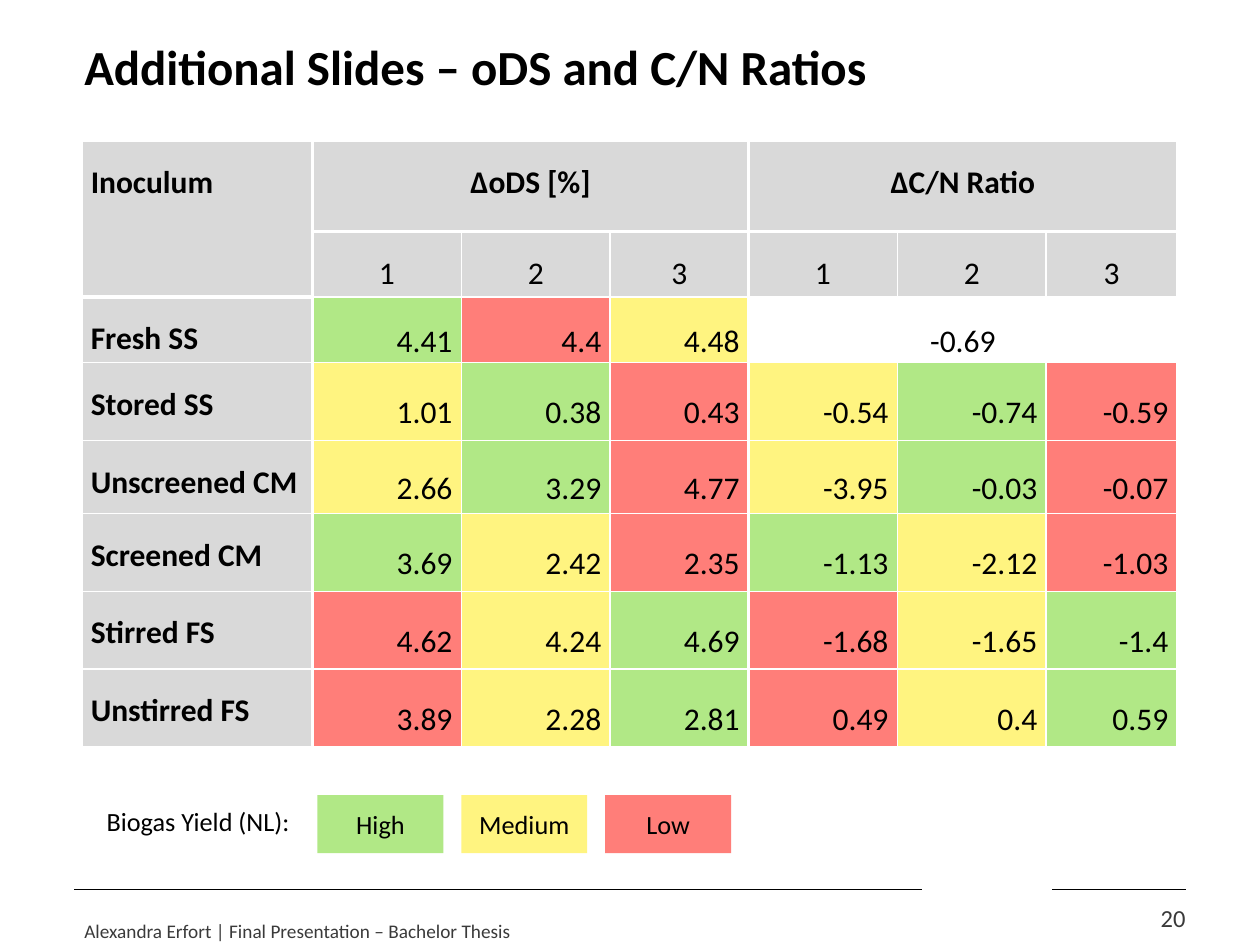
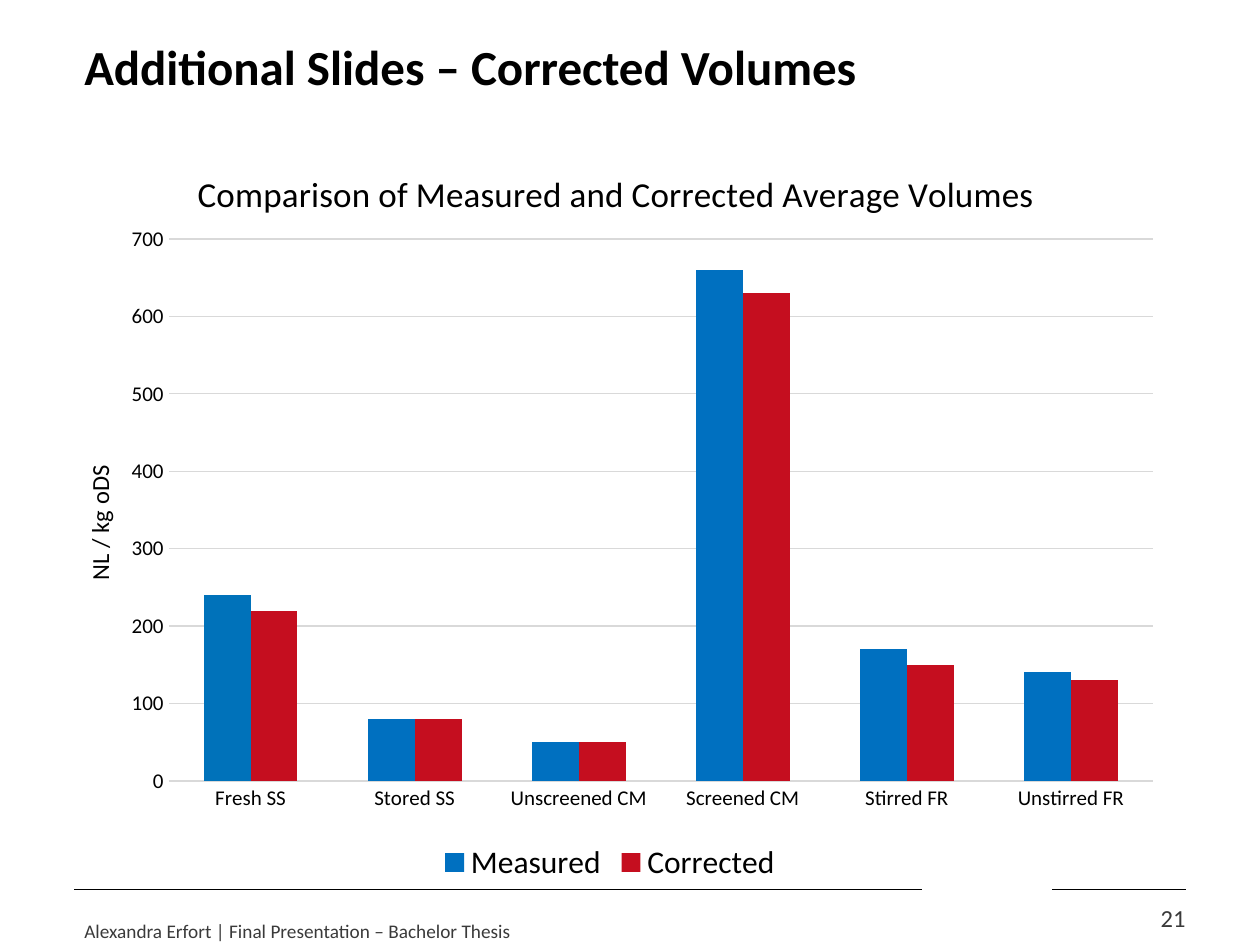
from lxml.etree import SubElement
from pptx import Presentation
from pptx.chart.data import CategoryChartData
from pptx.dml.color import RGBColor
from pptx.enum.chart import XL_CHART_TYPE as ChartType
from pptx.enum.chart import XL_LEGEND_POSITION as LegendPosition
from pptx.enum.chart import XL_TICK_MARK as TickMark
from pptx.enum.shapes import MSO_CONNECTOR as Connector
from pptx.enum.shapes import MSO_SHAPE as Shape
from pptx.enum.text import MSO_ANCHOR as Anchor
from pptx.enum.text import MSO_AUTO_SIZE as AutoSize
from pptx.enum.text import PP_ALIGN as Align
from pptx.oxml.ns import qn
from pptx.util import Cm, Pt

FONT = "Calibri"
BLACK, WHITE, DARK = "000000", "FFFFFF", "3A3A3A"
GREY = "D9D9D9"
YIELDS = {"High": "B1E886", "Medium": "FFF480", "Low": "FF7E79"}
YIELD_KEYS = {"H": "High", "M": "Medium", "L": "Low"}
FOOTER = "Alexandra Erfort |\u00a0Final Presentation – Bachelor Thesis"

COLUMN_WIDTHS = [4.65, 3, 3, 2.79, 3, 3, 2.64]
ROW_HEIGHTS = [1.83, 1.32, 1.32, 1.57, 1.47, 1.57, 1.57, 1.57]
THICK_COLUMN_EDGES = {1, 4}
INOCULA = [
    ("Fresh SS", ["4.41", "4.4", "4.48", "-0.69"], "HLM"),
    ("Stored SS", ["1.01", "0.38", "0.43", "-0.54", "-0.74", "-0.59"], "MHLMHL"),
    ("Unscreened CM", ["2.66", "3.29", "4.77", "-3.95", "-0.03", "-0.07"], "MHLMHL"),
    ("Screened CM", ["3.69", "2.42", "2.35", "-1.13", "-2.12", "-1.03"], "HMLHML"),
    ("Stirred FS", ["4.62", "4.24", "4.69", "-1.68", "-1.65", "-1.4"], "LMHLMH"),
    ("Unstirred FS", ["3.89", "2.28", "2.81", "0.49", "0.4", "0.59"], "LMHLMH"),
]

VOLUME_CATEGORIES = ["Fresh SS", "Stored SS", "Unscreened CM",
                     "Screened CM", "Stirred FR", "Unstirred FR"]
VOLUMES = [
    ("Measured", "0070C0", [240, 80, 50, 660, 170, 140]),
    ("Corrected", "C50E1F", [220, 80, 50, 630, 150, 130]),
]


def rgb(value):
    """Turn a hex string into a colour."""
    return RGBColor.from_string(value)


def fill_with(target, color):
    """Give a shape, cell or format a solid fill."""
    target.fill.solid()
    target.fill.fore_color.rgb = rgb(color)


def style_font(font, size, color=BLACK, bold=False):
    """Set the shared typeface with a size, colour and weight."""
    font.name, font.size, font.bold = FONT, Pt(size), bold
    font.color.rgb = rgb(color)


def write(frame, text, size, color=BLACK, bold=False, align=Align.LEFT):
    """Write one run into the first paragraph of a text frame."""
    paragraph = frame.paragraphs[0]
    paragraph.alignment = align
    run = paragraph.add_run()
    run.text = text
    style_font(run.font, size, color, bold)
    return paragraph


def set_margins(target, left, top, right, bottom):
    """Set the inner margins of a text frame or cell in centimetres."""
    target.margin_left, target.margin_top = Cm(left), Cm(top)
    target.margin_right, target.margin_bottom = Cm(right), Cm(bottom)


def add_text(slide, box, text, size, color=BLACK, align=Align.LEFT,
             margins=(0.25, 0.13, 0.25, 0.13), anchor=Anchor.TOP):
    """Add a wrapping text box."""
    frame = slide.shapes.add_textbox(*map(Cm, box)).text_frame
    frame.word_wrap = True
    frame.vertical_anchor = anchor
    set_margins(frame, *margins)
    write(frame, text, size, color, align=align)


def add_rule(slide, start, end):
    """Add a thin horizontal line above the footer."""
    y = Cm(17.93)
    line = slide.shapes.add_connector(Connector.STRAIGHT, Cm(start), y, Cm(end), y)
    line.line.color.rgb = rgb(BLACK)
    line.line.width = Pt(0.5)
    SubElement(line.element.spPr, qn("a:effectLst"))


def add_slide(presentation, title, number):
    """Add a slide with its title, footer rules, footer text and number."""
    slide = presentation.slides.add_slide(presentation.slide_layouts[5])
    shape = slide.shapes.title
    shape.left, shape.top, shape.width, shape.height = map(Cm, (1.7, 0.53, 21.01, 1.6))
    frame = shape.text_frame
    frame.auto_size = AutoSize.NONE
    frame.vertical_anchor = Anchor.MIDDLE
    set_margins(frame, 0, 0.1, 0.79, 0.1)
    write(frame, title, 28, bold=True)
    add_rule(slide, 1.5, 18.59)
    add_rule(slide, 21.21, 23.9)
    add_text(slide, (1.7, 18.41, 13.82, 0.63), FOOTER, 11, DARK,
             margins=(0, 0.13, 0, 0))
    add_text(slide, (22.63, 18.19, 1.27, 0.61), str(number), 14, DARK, Align.RIGHT,
             (0, 0.1, 0, 0), Anchor.BOTTOM)
    return slide


def set_borders(cell, row, column, last_row, last_column):
    """Draw white cell borders, thicker around the header groups."""
    thick_rows = {2} if column == 0 else {1}
    edges = {
        "L": column in THICK_COLUMN_EDGES,
        "R": last_column + 1 in THICK_COLUMN_EDGES,
        "T": row in thick_rows,
        "B": last_row + 1 in thick_rows,
    }
    properties = cell._tc.get_or_add_tcPr()
    for side, thick in edges.items():
        line = SubElement(properties, qn(f"a:ln{side}"), w=str(Pt(2.25 if thick else 1)))
        color = SubElement(SubElement(line, qn("a:solidFill")), qn("a:srgbClr"))
        color.set("val", WHITE)


def fill_cell(table, row, column, text, color=None, bold=False, align=Align.CENTER,
              anchor=Anchor.TOP, span=(1, 1)):
    """Merge, border, fill and label one table cell."""
    cell = table.cell(row, column)
    last_row, last_column = row + span[0] - 1, column + span[1] - 1
    if span != (1, 1):
        cell.merge(table.cell(last_row, last_column))
    for r in range(row, last_row + 1):
        for c in range(column, last_column + 1):
            part = table.cell(r, c)
            set_borders(part, row, column, last_row, last_column)
            if color:
                fill_with(part, color)
            else:
                part.fill.background()
    set_margins(cell, 0.18, 0.07, 0.18, 0)
    cell.vertical_anchor = anchor
    write(cell.text_frame, text, 18, bold=bold, align=align).line_spacing = 1.5


def add_ratio_table(slide):
    """Add the table of differences, coloured by biogas yield."""
    table = slide.shapes.add_table(
        len(ROW_HEIGHTS), len(COLUMN_WIDTHS), Cm(1.65), Cm(2.84),
        Cm(sum(COLUMN_WIDTHS)), Cm(sum(ROW_HEIGHTS))).table
    table.first_row = table.horz_banding = False
    for column, width in zip(table.columns, COLUMN_WIDTHS):
        column.width = Cm(width)
    for row, height in zip(table.rows, ROW_HEIGHTS):
        row.height = Cm(height)

    fill_cell(table, 0, 0, "Inoculum", GREY, True, Align.LEFT, span=(2, 1))
    for first, heading in ((1, "ΔoDS [%]"), (4, "ΔC/N Ratio")):
        fill_cell(table, 0, first, heading, GREY, True, span=(1, 3))
        for offset in range(3):
            fill_cell(table, 1, first + offset, str(offset + 1), GREY)
    for row, (name, values, keys) in enumerate(INOCULA, 2):
        fill_cell(table, row, 0, name, GREY, True, Align.LEFT)
        for column, (value, key) in enumerate(zip(values, keys), 1):
            fill_cell(table, row, column, value, YIELDS[YIELD_KEYS[key]],
                      align=Align.RIGHT, anchor=Anchor.MIDDLE)
        if len(values) > len(keys):
            fill_cell(table, row, len(values), values[-1],
                      anchor=Anchor.MIDDLE, span=(1, 3))


def add_yield_legend(slide):
    """Add the colour key under the table."""
    add_text(slide, (1.9, 16.1, 5.44, 0.89), "Biogas Yield (NL):", 15)
    for index, (label, color) in enumerate(YIELDS.items()):
        box = (6.4 + 2.9 * index, 16.03, 2.54, 1.17)
        shape = slide.shapes.add_shape(Shape.RECTANGLE, *map(Cm, box))
        shape.shadow.inherit = False
        shape.line.fill.background()
        fill_with(shape, color)
        shape.text_frame.vertical_anchor = Anchor.MIDDLE
        write(shape.text_frame, label, 15, align=Align.CENTER)


def place(element, **position):
    """Fix a chart part at fractions of the chart area."""
    layout = element.find(qn("c:layout"))
    if layout is None:
        layout = SubElement(element, qn("c:layout"))
        element.insert(0, layout)
    manual = SubElement(layout, qn("c:manualLayout"))
    if "w" in position:
        SubElement(manual, qn("c:layoutTarget"), val="inner")
    for axis in "xy":
        SubElement(manual, qn(f"c:{axis}Mode"), val="edge")
    for name, value in position.items():
        SubElement(manual, qn(f"c:{name}"), val=str(value))


def add_chart_title(title, text, size, **position):
    """Write and place a chart or axis title."""
    write(title.text_frame, text, size, align=Align.CENTER)
    place(title.element, **position)


def style_axis(axis):
    """Give an axis plain labels without tick marks."""
    axis.major_tick_mark = axis.minor_tick_mark = TickMark.NONE
    style_font(axis.tick_labels.font, 12)


def style_line(line):
    """Make a chart line thin and grey."""
    line.color.rgb = rgb(GREY)
    line.width = Pt(0.75)


def add_volume_chart(slide):
    """Add the clustered columns of measured and corrected volumes."""
    data = CategoryChartData(number_format="0")
    data.categories = VOLUME_CATEGORIES
    for name, _, values in VOLUMES:
        data.add_series(name, values)
    box = map(Cm, (0.89, 2.51, 22.81, 15.39))
    chart = slide.shapes.add_chart(ChartType.COLUMN_CLUSTERED, *box, data).chart
    style_font(chart.font, 10)
    add_chart_title(chart.chart_title, "Comparison of Measured and Corrected Average Volumes",
                    20, x=0.13, y=0.05)
    place(chart.element.find(f".//{qn('c:plotArea')}"), x=0.11, y=0.15, w=0.87, h=0.71)

    style_axis(chart.category_axis)
    style_line(chart.category_axis.format.line)
    value_axis = chart.value_axis
    style_axis(value_axis)
    value_axis.minimum_scale, value_axis.maximum_scale, value_axis.major_unit = 0, 700, 100
    value_axis.format.line.fill.background()
    style_line(value_axis.major_gridlines.format.line)
    add_chart_title(value_axis.axis_title, "NL / kg oDS", 14, x=0.03, y=0.44)

    plot = chart.plots[0]
    plot.vary_by_categories = False
    plot.gap_width, plot.overlap = 150, 0
    for series, (_, color, _) in zip(plot.series, VOLUMES):
        series.invert_if_negative = False
        fill_with(series.format, color)
    fill_with(plot.series[0].points[0].format, "0072BA")

    chart.has_legend = True
    chart.legend.position = LegendPosition.BOTTOM
    chart.legend.include_in_layout = False
    style_font(chart.legend.font, 18)


def main():
    """Build and save both slides."""
    presentation = Presentation()
    presentation.slide_width, presentation.slide_height = Cm(25.4), Cm(19.05)
    ratios = add_slide(presentation, "Additional Slides – oDS and C/N Ratios", 20)
    add_ratio_table(ratios)
    add_yield_legend(ratios)
    volumes = add_slide(presentation, "Additional Slides – Corrected Volumes", 21)
    add_volume_chart(volumes)
    presentation.save("out.pptx")


if __name__ == "__main__":
    main()
